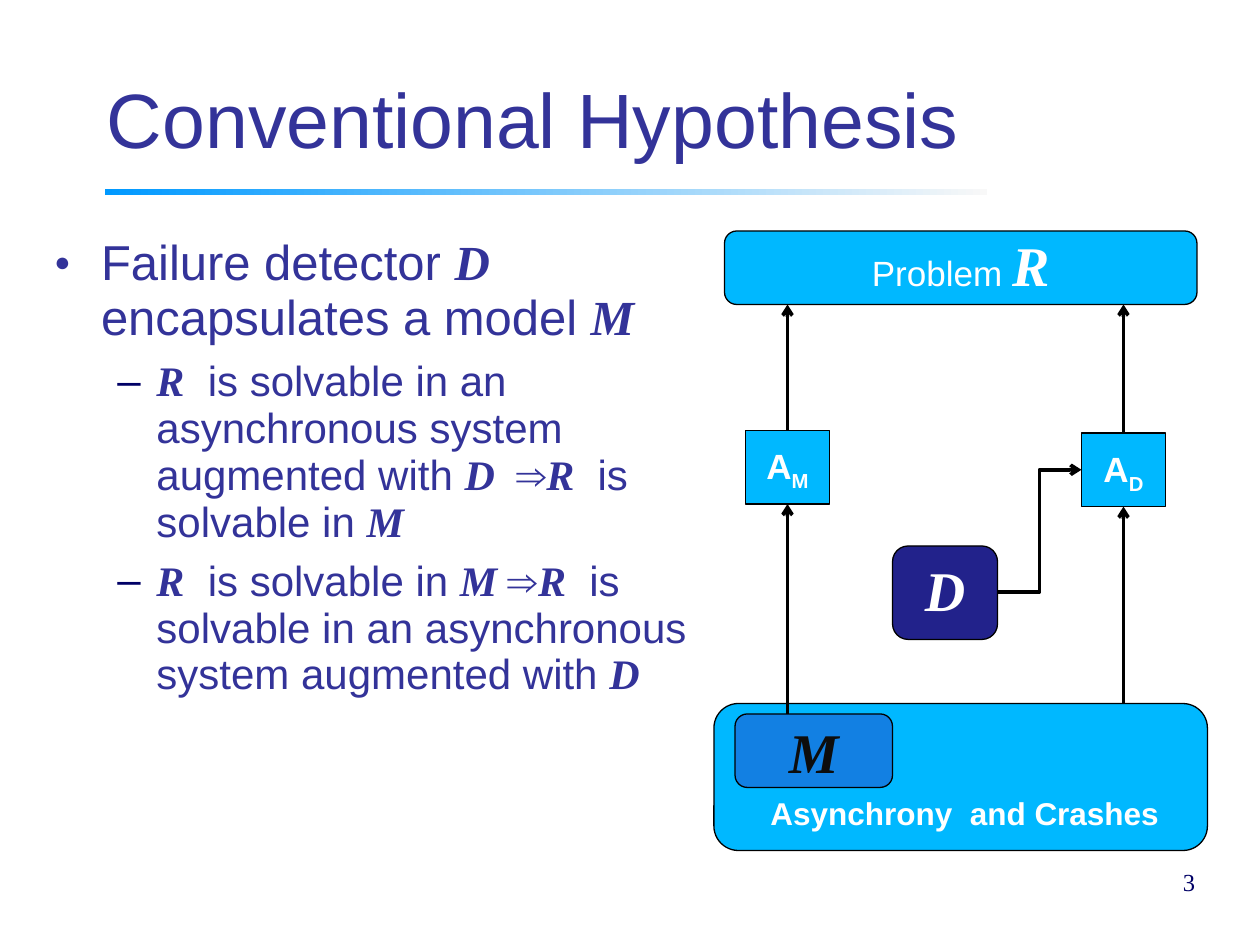
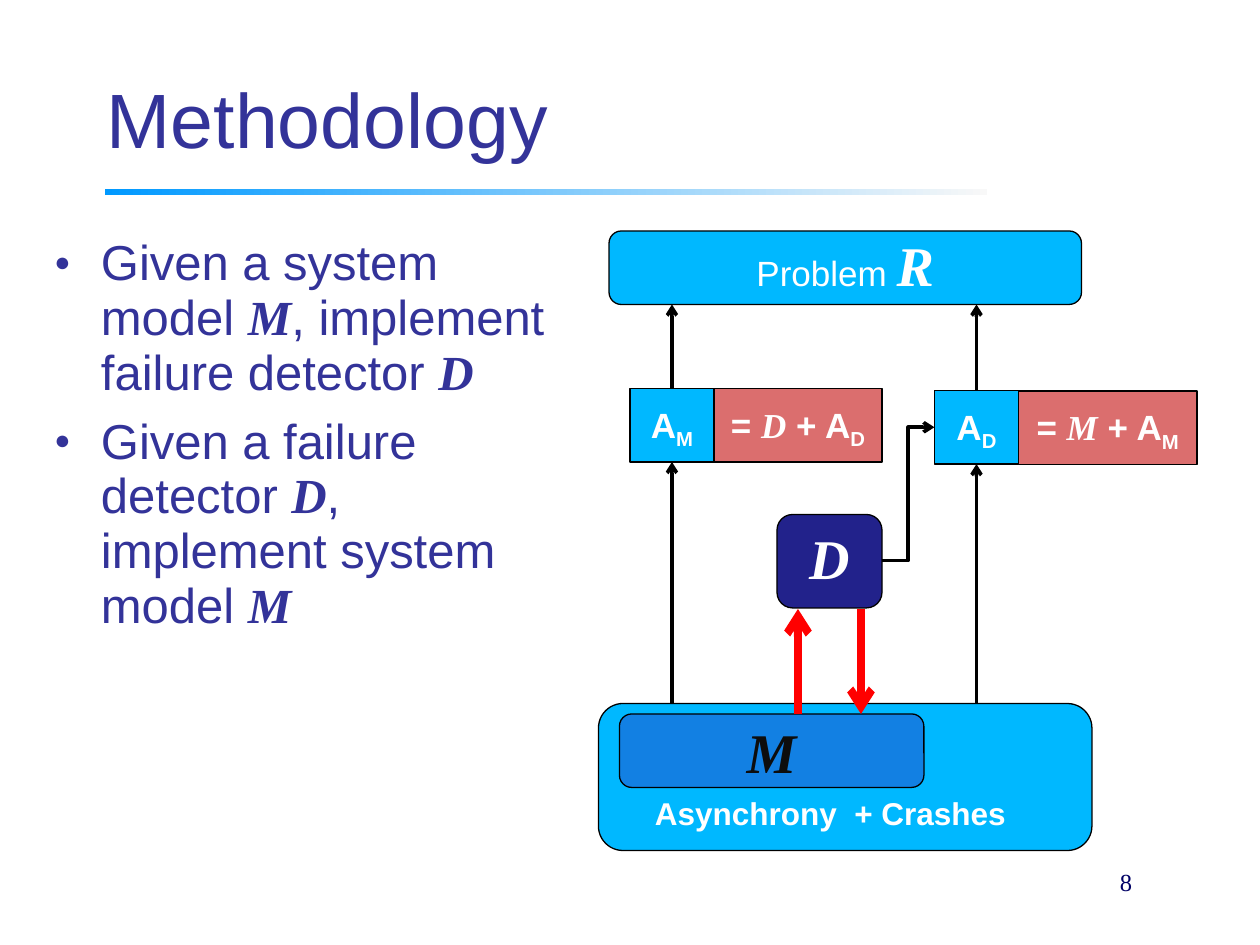
from pptx import Presentation
from pptx.dml.color import RGBColor
from pptx.enum.shapes import MSO_CONNECTOR, MSO_SHAPE
from pptx.enum.text import MSO_ANCHOR, PP_ALIGN
from pptx.oxml.ns import qn
from pptx.util import Inches, Pt
from lxml.etree import SubElement

CELLS_PER_INCH = 12
SANS, SERIF = "Arial", "Times New Roman"
INK, NAVY, SKY, DEEP = "333399", "000066", "00B8FF", "22228B"
VIOLET, CRIMSON, RED = "2D2DB9", "C00000", "FF0000"
BLACK, CHARCOAL, WHITE = "000000", "0D0D0D", "FFFFFF"
RULE_START, RULE_END = "0099FF", "F8F8F8"
SPAN_MARKS = {
    "*": {"font": SERIF, "bold": True, "italic": True},
    "~": {"baseline": -25},
    "^": {"bold": True},
}


def color(value):
    return RGBColor.from_string(value)


def cells(count):
    return Inches(count / CELLS_PER_INCH)


def add_span(para, text, size=20, font=SANS, ink=WHITE, bold=False, italic=False, baseline=0):
    span = para.add_run()
    span.text = text
    span.font.size = Pt(size)
    span.font.name = font
    span.font.bold = bold
    span.font.italic = italic
    span.font.color.rgb = color(ink)
    if baseline:
        span._r.get_or_add_rPr().set("baseline", str(baseline * 1000))


def write(para, text, align=PP_ALIGN.LEFT, before=0, spacing=0.93, symbol_size=None, **style):
    para.alignment = align
    para.space_before = Pt(before)
    para.line_spacing = spacing
    for part in filter(None, text.split("|")):
        mark = SPAN_MARKS.get(part[0])
        span_style = {**style, **(mark or {})}
        if part[0] == "*" and symbol_size:
            span_style["size"] = symbol_size
        add_span(para, part[1:] if mark else part, **span_style)


def add_bullet(para, character, ink, indent, hang, scale=100):
    properties = para._p.get_or_add_pPr()
    properties.set("marL", str(Inches(indent)))
    properties.set("indent", str(-Inches(hang)))
    tint = SubElement(properties, qn("a:buClr"))
    SubElement(tint, qn("a:srgbClr"), val=ink)
    SubElement(properties, qn("a:buSzPct"), val=str(scale * 1000))
    SubElement(properties, qn("a:buFont"), typeface=SANS)
    SubElement(properties, qn("a:buChar"), char=character)


class DiagramDeck:
    def __init__(self):
        self.deck = Presentation()
        self.deck.slide_width = Inches(10)
        self.deck.slide_height = Inches(7.5)
        self.page = None

    def start_page(self, title, number, number_column):
        self.page = self.deck.slides.add_slide(self.deck.slide_layouts[6])
        self.rule(10, 18, 84, 0.6)
        self.text(9, 0, 102, 16.4, title, anchor=MSO_ANCHOR.BOTTOM, size=44, ink=INK)
        self.text(number_column, 81, 25, 6, number, anchor=MSO_ANCHOR.MIDDLE, align=PP_ALIGN.RIGHT,
                  spacing=1, size=14, font=SERIF, ink=NAVY)

    def rule(self, column, row, width, height):
        band = self.page.shapes.add_shape(MSO_SHAPE.RECTANGLE, *map(cells, (column, row, width, height)))
        band.shadow.inherit = False
        band.line.fill.background()
        band.fill.gradient()
        band.fill.gradient_angle = 0
        for stop, value in zip(band.fill.gradient_stops, (RULE_START, RULE_END)):
            stop.color.rgb = color(value)

    def frame(self, column, row, width, height, anchor=MSO_ANCHOR.TOP):
        box = self.page.shapes.add_textbox(*map(cells, (column, row, width, height)))
        box.text_frame.word_wrap = True
        box.text_frame.vertical_anchor = anchor
        return box.text_frame

    def text(self, column, row, width, height, text, anchor=MSO_ANCHOR.TOP, **style):
        write(self.frame(column, row, width, height, anchor).paragraphs[0], text, **style)

    def bullets(self, width, height, items):
        frame = self.frame(4, 22, width, height)
        for index, (level, text) in enumerate(items):
            para = frame.add_paragraph() if index else frame.paragraphs[0]
            if level:
                para.level = level
                write(para, text, before=7, size=24, ink=INK)
                add_bullet(para, "–", NAVY, 0.81, 0.31)
            else:
                write(para, text, before=8, size=28, ink=INK)
                add_bullet(para, "●", INK, 0.37, 0.37, scale=55)

    def box(self, column, row, width, height, text="", fill=SKY, shape=MSO_SHAPE.RECTANGLE,
            opacity=100, anchor=MSO_ANCHOR.MIDDLE, **style):
        box = self.page.shapes.add_shape(shape, *map(cells, (column, row, width, height)))
        box.shadow.inherit = False
        box.fill.solid()
        box.fill.fore_color.rgb = color(fill)
        if opacity < 100:
            tint = box._element.spPr.find(qn("a:solidFill")).find(qn("a:srgbClr"))
            SubElement(tint, qn("a:alpha"), val=str(opacity * 1000))
        box.line.color.rgb = color(BLACK)
        box.line.width = Pt(0.75)
        box.text_frame.word_wrap = True
        box.text_frame.vertical_anchor = anchor
        if text:
            write(box.text_frame.paragraphs[0], text, align=PP_ALIGN.CENTER, before=5, **style)

    def arrow(self, start, end, kind=MSO_CONNECTOR.STRAIGHT, ink=BLACK, weight=2):
        arrow = self.page.shapes.add_connector(kind, *map(cells, (*start, *end)))
        arrow.line.color.rgb = color(ink)
        arrow.line.width = Pt(weight)
        SubElement(arrow.line._get_or_add_ln(), qn("a:tailEnd"), type="arrow")
        SubElement(arrow._element.spPr, qn("a:effectLst"))

    def model_diagram(self, left, label, model_width, model_row, detector_row, detector_algorithm,
                      model_arrow_row):
        algorithm_column, algorithm_row = detector_algorithm
        model_axis, detector_axis = left + 7, algorithm_column + 4
        self.box(left, 67, 47, 14, shape=MSO_SHAPE.FLOWCHART_ALTERNATE_PROCESS)
        self.box(left + 2, 68, model_width, 7, "*M", fill=VIOLET, opacity=40, size=32, ink=CHARCOAL,
                 shape=MSO_SHAPE.ROUNDED_RECTANGLE, anchor=MSO_ANCHOR.TOP)
        self.box(left + 17, detector_row, 10, 8.9, "*D", fill=DEEP, size=32,
                 shape=MSO_SHAPE.FLOWCHART_ALTERNATE_PROCESS)
        self.box(left + 1, 22, 45, 7, "Problem |*R", symbol_size=32, shape=MSO_SHAPE.ROUNDED_RECTANGLE)
        self.box(left + 3, model_row, 8, 7, "A|~M", bold=True)
        self.box(algorithm_column, algorithm_row, 8, 7, "A|~D", bold=True)
        for axis, row, source in ((model_axis, model_row, model_arrow_row),
                                  (detector_axis, algorithm_row, 67)):
            self.arrow((axis, source), (axis, row + 7))
            self.arrow((axis, row), (axis, 29))
        self.arrow((left + 27, detector_row + 4.4), (algorithm_column, algorithm_row + 3.5),
                   kind=MSO_CONNECTOR.ELBOW)
        self.text(left + 4.2, 75, 41, 8.5, label, spacing=1, size=18, bold=True)

    def equation(self, column, row, width, text):
        self.box(column, row, width, 7, text, fill=CRIMSON, opacity=57, bold=True)


def build_hypothesis(slides):
    slides.start_page("Conventional Hypothesis", "3", 90)
    slides.bullets(64, 62, [
        (0, "Failure detector |*D|  encapsulates a model |*M"),
        (1, "*R|  is solvable in an asynchronous system augmented with |*D  |^⇒|*R|  is solvable in |*M"),
        (1, "*R|  is solvable in |*M |^⇒|*R|  is solvable in an asynchronous system augmented with |*D"),
    ])
    slides.model_diagram(68, "Asynchrony  and Crashes", model_width=15, model_row=41, detector_row=52,
                         detector_algorithm=(103, 41.25), model_arrow_row=68)


def build_methodology(slides):
    slides.start_page("Methodology", "8", 84)
    slides.bullets(49.7, 54, [
        (0, "Given a system model |*M|, implement failure detector |*D"),
        (0, "Given a failure detector |*D|, implement system model |*M"),
    ])
    slides.model_diagram(57, "Asynchrony  + Crashes", model_width=29, model_row=37, detector_row=49,
                         detector_algorithm=(89, 37.2), model_arrow_row=67)
    slides.equation(68, 37, 16, "= |*D| + A|~D")
    slides.equation(97, 37.25, 17, "= |*M| + A|~M")
    slides.arrow((76, 68), (76, 58), ink=RED, weight=4.5)
    slides.arrow((82, 58), (82, 68), ink=RED, weight=4.5)


def main():
    slides = DiagramDeck()
    build_hypothesis(slides)
    build_methodology(slides)
    slides.deck.save("out.pptx")


if __name__ == "__main__":
    main()
